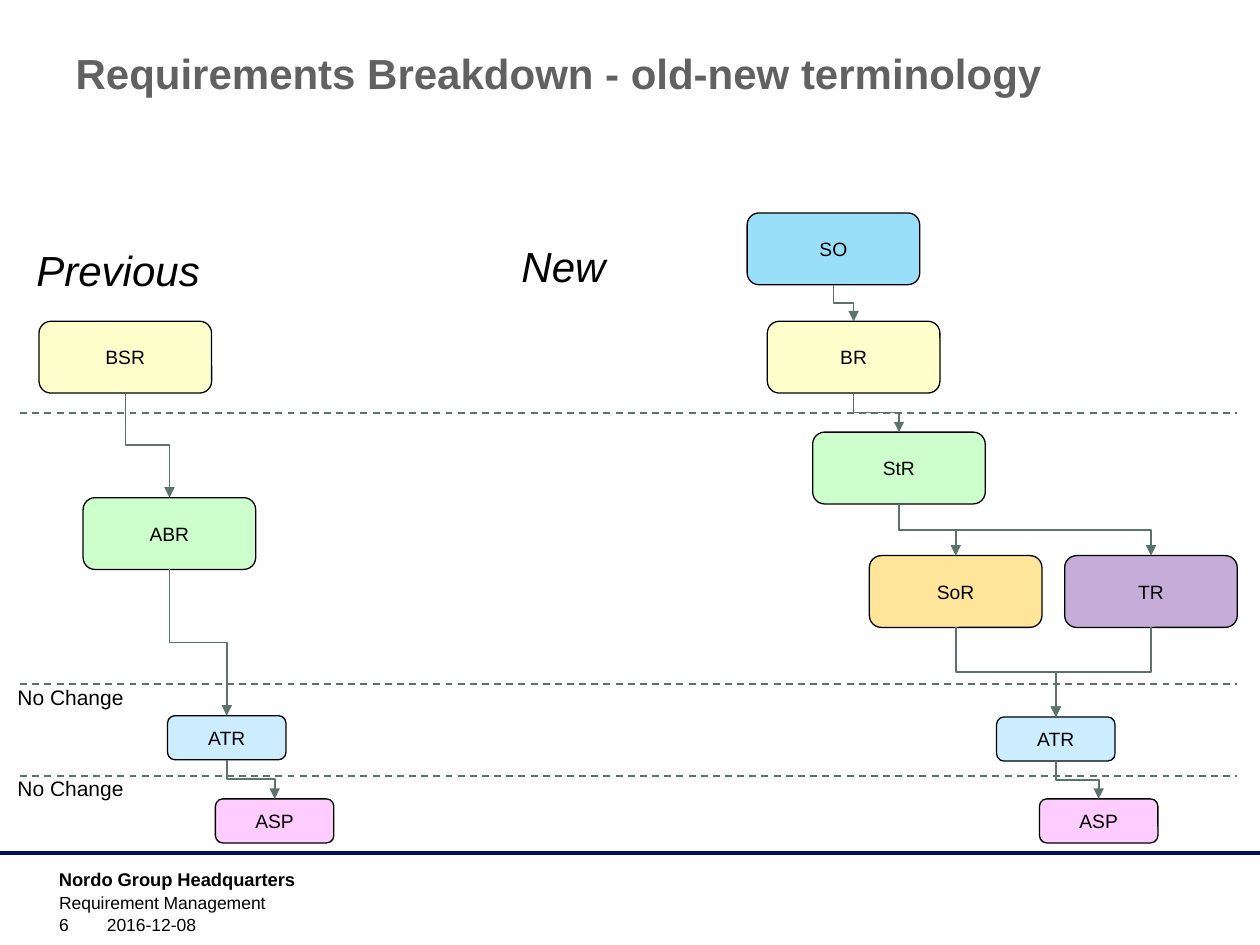
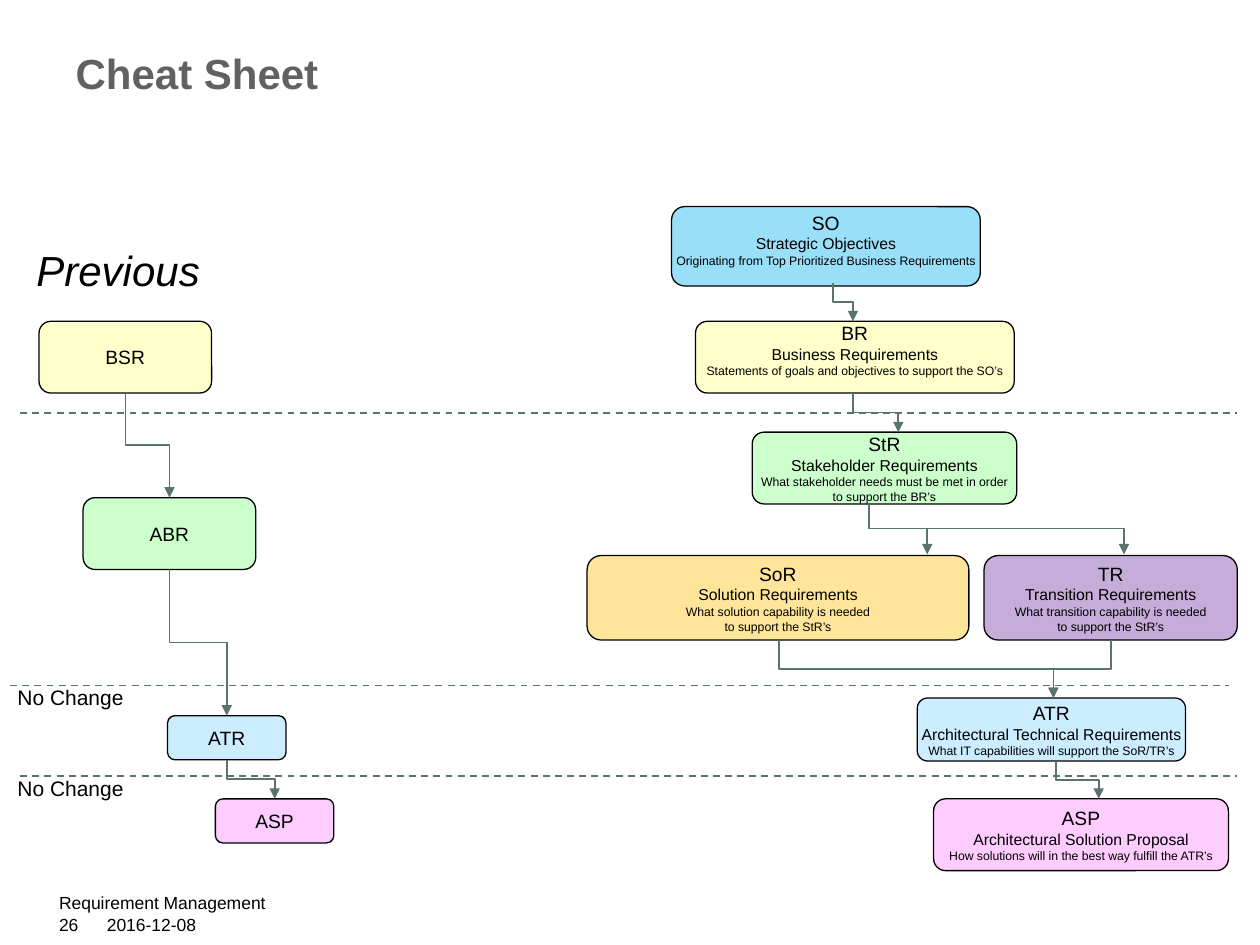
from lxml.etree import SubElement
from pptx import Presentation
from pptx.dml.color import RGBColor
from pptx.enum.dml import MSO_LINE
from pptx.enum.shapes import MSO_CONNECTOR as Link, MSO_SHAPE as Shape
from pptx.enum.text import MSO_ANCHOR as Anchor, PP_ALIGN as Align
from pptx.oxml.ns import qn
from pptx.util import Inches, Pt

FONT = "Arial"
BLACK = RGBColor(0, 0, 0)
TITLE_GREY = RGBColor(0x61, 0x61, 0x61)
NAVY = RGBColor(0x00, 0x0F, 0x60)
ARROW_GREEN = RGBColor(0x5A, 0x73, 0x6D)

# Each requirement level: colour and opacity in percent
YELLOW = (RGBColor(0xFF, 0xFF, 0xCC), 100)
GREEN = (RGBColor(0xCC, 0xFF, 0xCC), 100)
PALE_BLUE = (RGBColor(0xCC, 0xEC, 0xFF), 100)
PINK = (RGBColor(0xFF, 0xCC, 0xFF), 100)
SKY = (RGBColor(0x00, 0xB0, 0xF0), 40)
AMBER = (RGBColor(0xFF, 0xC0, 0x00), 40)
PURPLE = (RGBColor(0x70, 0x30, 0xA0), 40)
LEVEL_FILLS = {"BSR": YELLOW, "ABR": GREEN, "ATR": PALE_BLUE, "ASP": PINK, "SO": SKY,
               "BR": YELLOW, "StR": GREEN, "SoR": AMBER, "TR": PURPLE}

LARGE, SMALL = (1.37, 0.57), (0.94, 0.35)
LINE_SIZES = (11, 9, 7, 7)

# Boxes: level -> left, top, width, height
PREVIOUS_BOXES = {
    "BSR": (0.31, 2.55, *LARGE),
    "ABR": (0.66, 3.95, *LARGE),
    "ATR": (1.33, 5.68, *SMALL),
    "ASP": (1.71, 6.34, *SMALL),
}
PREVIOUS_LINKS = [("BSR", "ABR"), ("ABR", "ATR"), ("ATR", "ASP")]

NEW_BOXES = {
    "SO": (5.93, 1.69, *LARGE),
    "BR": (6.09, 2.55, *LARGE),
    "StR": (6.45, 3.43, *LARGE),
    "SoR": (6.9, 4.41, *LARGE),
    "TR": (8.45, 4.41, *LARGE),
    "ATR": (7.91, 5.69, *SMALL),
    "ASP": (8.25, 6.34, *SMALL),
}
NEW_LINKS = [("SO", "BR"), ("BR", "StR"), ("StR", "SoR"), ("StR", "TR"),
             ("SoR", "ATR"), ("TR", "ATR"), ("ATR", "ASP")]

CHEAT_BOXES = {
    "SO": (5.33, 1.64, 2.45, 0.63),
    "BR": (5.52, 2.55, 2.53, 0.57),
    "StR": (5.97, 3.43, 2.1, 0.57),
    "SoR": (4.66, 4.41, 3.03, 0.67),
    "TR": (7.81, 4.41, 2.01, 0.67),
    "ATR": (7.28, 5.54, 2.13, 0.5),
    "ASP": (7.41, 6.34, 2.34, 0.57),
}
CHEAT_TEXTS = {
    "SO": ["Strategic Objectives", "Originating from Top Prioritized Business Requirements"],
    "BR": ["Business Requirements", "Statements of goals and objectives to support the SO’s"],
    "StR": ["Stakeholder Requirements", "What stakeholder needs must be met in order",
            "to support the BR’s"],
    "SoR": ["Solution Requirements", "What solution capability is needed",
            "to support the StR’s"],
    "TR": ["Transition Requirements", "What transition capability is needed",
           "to support the StR’s"],
    "ATR": ["Architectural Technical Requirements",
            "What IT capabilities will support the SoR/TR’s"],
    "ASP": ["Architectural Solution Proposal",
            "How solutions will in the best way fulfill the ATR’s"],
}
RAISED_TEXTS = {"SO": 0.11, "BR": 0.12}  # extra bottom margin
CHEAT_ARROWS = [
    ((6.61, 2.25), (6.77, 2.55)),
    ((6.77, 3.12), (7.13, 3.43)),
    ((6.9, 3.99), (7.36, 4.4)),
    ((6.9, 3.99), (8.92, 4.4)),
    ((6.18, 5.08), (8.36, 5.54)),
    ((8.82, 5.08), (8.36, 5.54)),
    ((8.38, 6.04), (8.72, 6.34)),
]


def style_line(line, color, width):
    line.line.color.rgb = color
    line.line.width = Pt(width)
    SubElement(line._element.spPr, qn("a:effectLst"))


def add_rule(slide, left, right, y, color=ARROW_GREEN, width=1, dashed=True):
    rule = slide.shapes.add_connector(
        Link.STRAIGHT, Inches(left), Inches(y), Inches(right), Inches(y))
    style_line(rule, color, width)
    if dashed:
        rule.line.dash_style = MSO_LINE.DASH


def add_elbow(slide, start, end):
    """Arrow that leaves downwards, crosses at half height and arrives downwards."""
    (x1, y1), (x2, y2) = start, end
    middle_x, middle_y = (x1 + x2) / 2, (y1 + y2) / 2
    half_drop, half_run = (y2 - y1) / 2, abs(x2 - x1) / 2
    rightward = x2 > x1
    side = half_drop if rightward else -half_drop
    arrow = slide.shapes.add_connector(
        Link.ELBOW, Inches(middle_x + side), Inches(middle_y - half_run),
        Inches(middle_x - side), Inches(middle_y + half_run))
    arrow._element.spPr.find(qn("a:xfrm")).set("rot", "16200000" if rightward else "5400000")
    style_line(arrow, ARROW_GREEN, 1)
    SubElement(arrow.line._get_or_add_ln(), qn("a:tailEnd"), type="triangle")


def link_levels(slide, boxes, links):
    for upper, lower in links:
        left, top, width, height = boxes[upper]
        next_left, next_top, next_width, _ = boxes[lower]
        add_elbow(slide, (left + width / 2, top + height),
                  (next_left + next_width / 2, next_top))


def style_font(para, size, color=BLACK, bold=False, italic=False):
    font = para.font
    font.name, font.size, font.bold, font.italic = FONT, Pt(size), bold, italic
    font.color.rgb = color


def add_text(slide, text, area, size, anchor=Anchor.TOP, wrap=True, **style):
    box = slide.shapes.add_textbox(*map(Inches, area))
    frame = box.text_frame
    frame.word_wrap, frame.vertical_anchor = wrap, anchor
    frame.text = text
    style_font(frame.paragraphs[0], size, **style)


def add_boxes(slide, boxes, texts=None):
    for level, area in boxes.items():
        box = slide.shapes.add_shape(Shape.ROUNDED_RECTANGLE, *map(Inches, area))
        box.shadow.inherit = False
        color, opacity = LEVEL_FILLS[level]
        box.fill.solid()
        box.fill.fore_color.rgb = color
        if opacity < 100:
            fill_color = box._element.spPr.find(qn("a:solidFill"))[0]
            SubElement(fill_color, qn("a:alpha"), val=str(opacity * 1000))
        box.line.color.rgb = BLACK
        box.line.width = Pt(0.75)

        lines = [level] + (texts[level] if texts else [])
        frame = box.text_frame
        frame.word_wrap, frame.vertical_anchor = False, Anchor.MIDDLE
        frame.margin_top = 0
        frame.margin_bottom = Inches(RAISED_TEXTS.get(level, 0) if texts else 0)
        frame.text = "\n".join(lines)
        for para, size in zip(frame.paragraphs, LINE_SIZES):
            para.alignment = Align.CENTER
            style_font(para, size)


def add_base_slide(deck, title, number, middle_rule):
    """Slide with title, footer, dashed levels and the previous breakdown."""
    slide = deck.slides.add_slide(deck.slide_layouts[5])
    heading = slide.shapes.title
    heading.left, heading.top, heading.width, heading.height = map(Inches, (0.5, 0.3, 9, 1.25))
    frame = heading.text_frame
    frame.text = title
    frame.vertical_anchor = Anchor.TOP
    frame.margin_top = Inches(0.08)
    frame.paragraphs[0].alignment = Align.LEFT
    style_font(frame.paragraphs[0], 24, TITLE_GREY, bold=True)

    for rule in ((0.16, 9.82, 3.28), middle_rule, (0.16, 9.82, 6.16)):
        add_rule(slide, *rule)
    add_text(slide, "Previous", (0.19, 1.69, 4.42, 0.7), 24, Anchor.BOTTOM, italic=True)
    add_boxes(slide, PREVIOUS_BOXES)
    link_levels(slide, PREVIOUS_BOXES, PREVIOUS_LINKS)
    for top in (5.38, 6.11):
        add_text(slide, "No Change", (0.04, top, 1.05, 0.3), 12, wrap=False)

    add_text(slide, "Requirement Management", (0.37, 7.03, 7.52, 0.24), 10)
    add_text(slide, number, (0.37, 7.24, 0.55, 0.23), 10, Anchor.BOTTOM)
    add_text(slide, "2016-12-08", (0.75, 7.24, 2.63, 0.23), 10, Anchor.BOTTOM)
    return slide


def add_terminology_slide(deck):
    slide = add_base_slide(deck, "Requirements Breakdown - old-new terminology", "6",
                           (0.16, 9.82, 5.43))
    add_rule(slide, 0, 10, 6.77, NAVY, 2, dashed=False)
    add_text(slide, "Nordo Group Headquarters", (0.37, 6.84, 2.33, 0.24), 10.5,
             wrap=False, bold=True)
    add_text(slide, "New", (4.04, 1.66, 4.42, 0.7), 24, Anchor.BOTTOM, italic=True)
    add_boxes(slide, NEW_BOXES)
    link_levels(slide, NEW_BOXES, NEW_LINKS)


def add_cheat_sheet_slide(deck):
    slide = add_base_slide(deck, "Cheat Sheet", "26", (0.08, 9.75, 5.44))
    add_boxes(slide, CHEAT_BOXES, CHEAT_TEXTS)
    for start, end in CHEAT_ARROWS:
        add_elbow(slide, start, end)


def main():
    deck = Presentation()
    deck.slide_width, deck.slide_height = Inches(10), Inches(7.5)
    add_terminology_slide(deck)
    add_cheat_sheet_slide(deck)
    deck.save("out.pptx")


if __name__ == "__main__":
    main()
